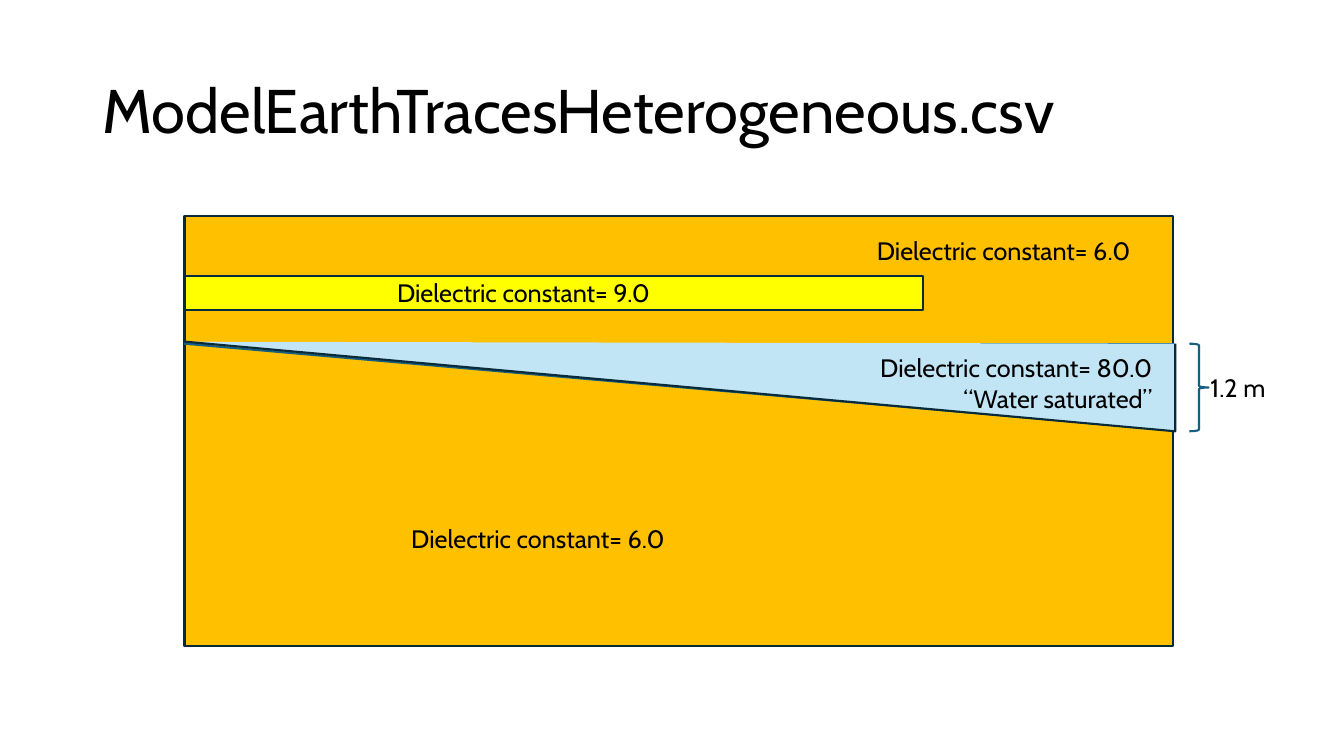
from dataclasses import dataclass

from lxml import etree
from pptx import Presentation
from pptx import util as u
from pptx.dml import color
from pptx.enum import shapes, text
from pptx.oxml import ns


@dataclass(frozen=True)
class Theme:
    font: str = "Cabin"
    ink: str = "000000"
    earth: str = "FFC000"
    layer: str = "FFFF00"
    water: str = "C1E5F5"
    outline: str = "092A39"
    accent: str = "156082"
    title_size: float = 44
    label_size: float = 18
    line_width: float = 1.5


THEME = Theme()


def apply(target, values):
    for name, value in values.items():
        setattr(target, name, value)


def rgb(value):
    return color.RGBColor.from_string(value)


def style_line(item, tone):
    item.line.color.rgb = rgb(tone)
    item.line.width = u.Pt(THEME.line_width)


def style_shape(item, fill, tone):
    item.shadow.inherit = False
    if fill:
        item.fill.solid()
        item.fill.fore_color.rgb = rgb(fill)
    else:
        item.fill.background()
    style_line(item, tone)


def write(frame, lines, size, paragraph_format):
    frame.text = "\n".join(lines)
    for paragraph in frame.paragraphs:
        apply(paragraph, paragraph_format)
        apply(paragraph.font, {"name": THEME.font, "size": u.Pt(size)})
        paragraph.font.color.rgb = rgb(THEME.ink)


def add_block(slide, kind, box, fill, tone):
    block = slide.shapes.add_shape(kind, *map(u.Pt, box))
    style_shape(block, fill, tone)


def add_label(slide, box, lines, align=text.PP_ALIGN.LEFT):
    label = slide.shapes.add_textbox(*map(u.Pt, box))
    apply(label.text_frame, {
        "word_wrap": False,
        "auto_size": text.MSO_AUTO_SIZE.SHAPE_TO_FIT_TEXT,
    })
    write(label.text_frame, lines, THEME.label_size, {"alignment": align})


def add_boundary(slide, start, end):
    boundary = slide.shapes.add_connector(
        shapes.MSO_CONNECTOR.STRAIGHT, *map(u.Pt, start + end))
    style_line(boundary, THEME.accent)
    etree.SubElement(boundary._element.spPr, ns.qn("a:effectLst"))


def place_title(slide, box):
    title = slide.shapes.title
    apply(title, dict(zip(("left", "top", "width", "height"), map(u.Pt, box))))
    title.text_frame.vertical_anchor = text.MSO_ANCHOR.MIDDLE
    write(title.text_frame, ["ModelEarthTracesHeterogeneous.csv"],
          THEME.title_size,
          {"alignment": text.PP_ALIGN.LEFT, "line_spacing": 0.9})


def draw_earth(slide, box):
    left, top, width, height = box
    water_table = top + 91.4
    add_block(slide, shapes.MSO_SHAPE.RECTANGLE, box,
              THEME.earth, THEME.outline)
    for drop in (0, 62):
        add_boundary(slide, (left, water_table),
                     (left + width, water_table + drop))
    add_block(slide, shapes.MSO_SHAPE.RECTANGLE,
              (left, top + 43.2, 527.8, 24.5), THEME.layer, THEME.outline)
    add_label(slide, (left + 154.8, top + 216, 202.3, 28.8),
              ["Dielectric constant= 6.0"])
    draw_water(slide, (left + 0.7, water_table - 1.4, width + 0.7, 64))
    add_label(slide, (left + 144.7, top + 40.3, 202.3, 28.8),
              ["Dielectric constant= 9.0"])
    add_label(slide, (left + 487.4, top + 10.8, 202.3, 28.8),
              ["Dielectric constant= 6.0"])


def draw_water(slide, box):
    left, top, width, height = box
    right = left + width
    builder = slide.shapes.build_freeform(u.Pt(left), u.Pt(top))
    builder.add_line_segments(
        [(u.Pt(right), u.Pt(top + height)), (u.Pt(right), u.Pt(top + 1.4))],
        close=False)
    wedge = builder.convert_to_shape()
    style_shape(wedge, THEME.water, THEME.outline)
    add_label(slide, (right - 221, top + 4.3, 211.7, 51.1),
              ["Dielectric constant= 80.0", "“Water saturated”"],
              text.PP_ALIGN.RIGHT)


def draw_thickness(slide, box):
    left, top, width, height = box
    add_block(slide, shapes.MSO_SHAPE.RIGHT_BRACE, box, None, THEME.accent)
    add_label(slide, (left + 7.9, top + 16.6, 58.3, 28.8), ["1.2 m"])


def main():
    deck = Presentation()
    apply(deck, {"slide_width": u.Pt(960), "slide_height": u.Pt(540)})
    slide = deck.slides.add_slide(deck.slide_layouts.get_by_name("Title Only"))
    place_title(slide, (66, 28.8, 828, 104.4))
    draw_earth(slide, (131.8, 154.1, 706.3, 307.4))
    draw_thickness(slide, (849.6, 245.5, 13.7, 62.6))
    deck.save("out.pptx")


if __name__ == "__main__":
    main()
